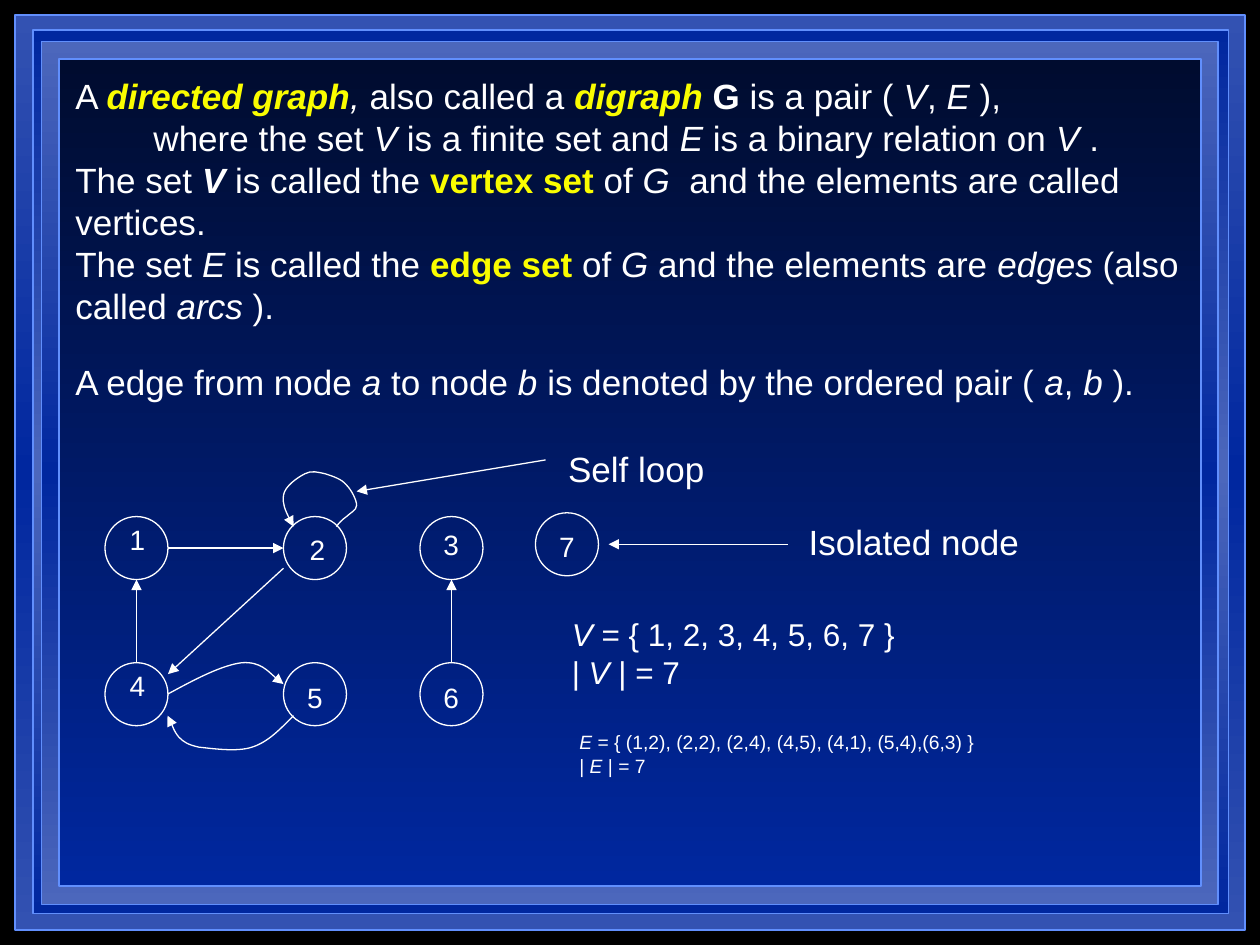
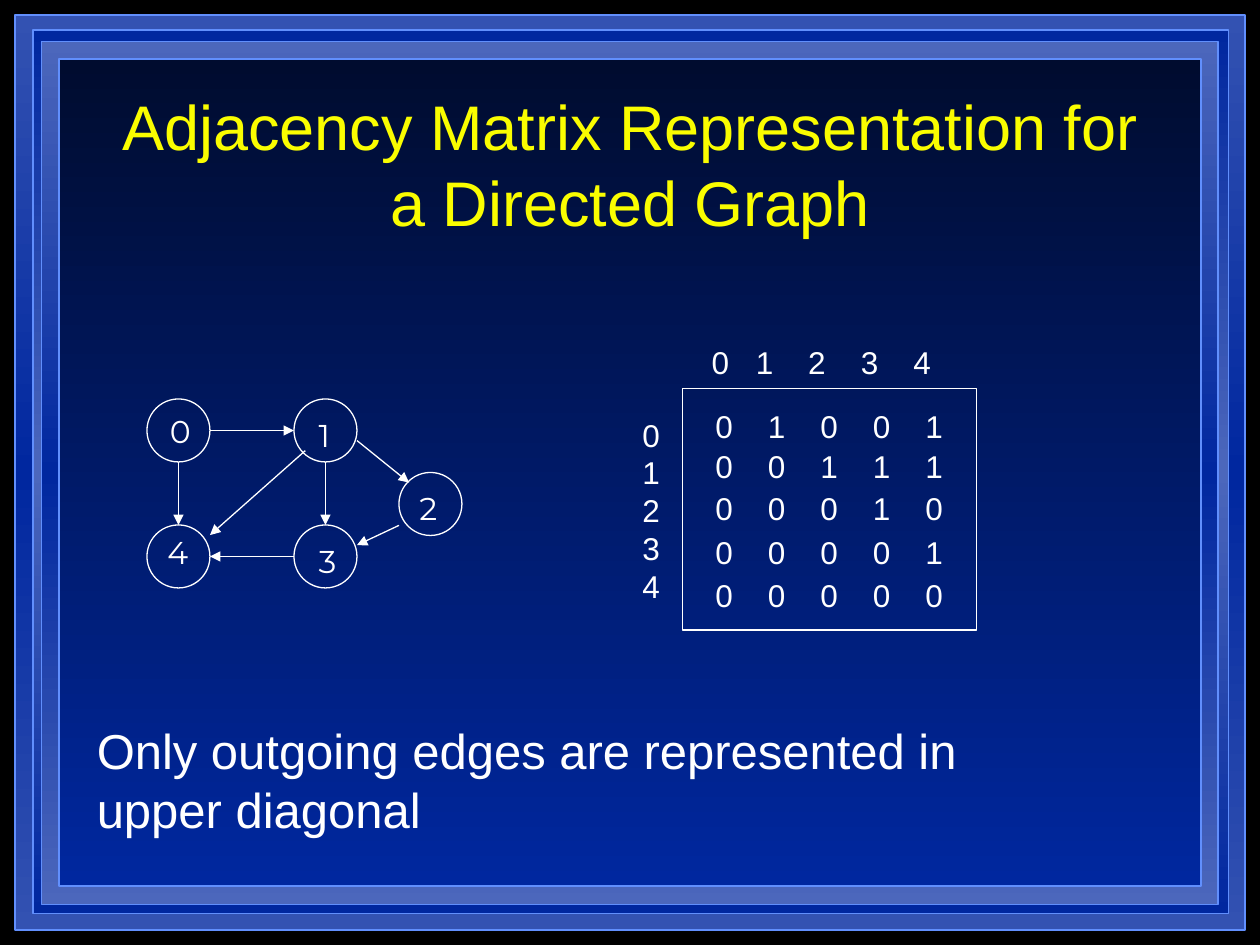
from lxml import etree
from pptx import Presentation
from pptx.dml.color import RGBColor
from pptx.enum import shapes, text
from pptx.oxml.ns import qn
from pptx.util import Inches, Pt

BLACK = RGBColor(0x00, 0x00, 0x00)
WHITE = RGBColor(0xFF, 0xFF, 0xFF)
YELLOW = RGBColor(0xFA, 0xFD, 0x00)
FRAME_LINE = RGBColor(0x61, 0x8F, 0xFD)
NAVY = RGBColor(0x00, 0x0C, 0x2F)
BLUE = RGBColor(0x00, 0x27, 0x9F)
MID_BLUE = RGBColor(0x33, 0x52, 0xB2)
PALE_BLUE = RGBColor(0x4C, 0x67, 0xBC)

FONT, NODE_FONT = "Arial", "Montserrat"
RADIUS = 0.25

# left, top, width, height, gradient colours from top to bottom
FRAMES = [
    (0.12, 0.12, 9.76, 7.26, (MID_BLUE, BLUE, MID_BLUE)),
    (0.26, 0.24, 9.49, 7.01, (BLUE, PALE_BLUE, BLUE)),
    (0.33, 0.33, 9.34, 6.85, (PALE_BLUE, BLUE, PALE_BLUE)),
    (0.47, 0.47, 9.06, 6.56, (NAVY, BLUE)),
]

# A paragraph is a list of (words, style): b bold, i italic, y yellow
DEFINITION = [
    [("A ", ""), ("directed graph", "biy"), (",", "i"), (" also called a ", ""),
     ("digraph ", "biy"), ("G", "b"), (" is a pair ( ", ""), ("V", "i"), (", ", ""),
     ("E ", "i"), ("),", "")],
    [("\twhere the set ", ""), ("V", "i"), (" is a finite set and ", ""), ("E", "i"),
     (" is a binary relation on ", ""), ("V ", "i"), (".", "")],
    [("The set ", ""), ("V", "bi"), (" is called the ", ""), ("vertex set ", "by"),
     ("of ", ""), ("G ", "i"), (" and the elements are called vertices.", "")],
    [("The set ", ""), ("E", "i"), (" is called the ", ""), ("edge set ", "by"),
     ("of ", ""), ("G", "i"), (" and the elements are ", ""), ("edges", "i"),
     (" (also called ", ""), ("arcs ", "i"), (").", "")],
]
EDGE_NOTATION = [
    [("A edge from node ", ""), ("a", "i"), (" to node ", ""), ("b ", "i"),
     ("is denoted by the ordered pair ( ", ""), ("a", "i"), (", ", ""), ("b", "i"),
     (" ).", "")],
]
VERTEX_SET = [
    [("V", "i"), (" = { 1, 2, 3, 4, 5, 6, 7 }", "")],
    [("| ", ""), ("V", "i"), (" | = 7", "")],
]
EDGE_SET = [
    [("E", "i"), (" = { (1,2), (2,2), (2,4), (4,5), (4,1), (5,4),(6,3) }", "")],
    [("| ", ""), ("E", "i"), (" | = 7", "")],
]

# node: centre x, centre y, label left, label top
DIGRAPH_NODES = {
    "1": (13 / 12, 4.35, 0.93, 4.10), "2": (2.50, 4.35, 2.36, 4.18),
    "3": (43 / 12, 4.35, 3.42, 4.14), "4": (13 / 12, 5.51, 0.93, 5.26),
    "5": (2.50, 5.51, 2.34, 5.35), "6": (43 / 12, 5.51, 3.42, 5.35),
    "7": (4.50, 4.32, 4.34, 4.15),
}
MATRIX_NODES = {
    "0": (17 / 12, 41 / 12, 1.25, 3.22), "1": (31 / 12, 41 / 12, 2.43, 3.25),
    "2": (41 / 12, 4.00, 3.23, 3.83), "3": (31 / 12, 53 / 12, 2.43, 4.25),
    "4": (17 / 12, 53 / 12, 1.23, 4.18),
}
# from node, its anchor, to node, its anchor; anchors count in radii from the centre
TOP, BOTTOM, LEFT, RIGHT = (0, -1), (0, 1), (-1, 0), (1, 0)
DIGRAPH_EDGES = [
    ("4", TOP, "1", BOTTOM), ("1", RIGHT, "2", LEFT),
    ("2", (-1, 0.64), "4", (1, -0.64)), ("6", TOP, "3", BOTTOM),
]
MATRIX_EDGES = [
    ("1", (-0.64, 0.64), "4", (1, -0.68)), ("0", BOTTOM, "4", TOP),
    ("0", RIGHT, "1", LEFT), ("3", LEFT, "4", RIGHT), ("1", BOTTOM, "3", TOP),
    ("1", (1, 0.32), "2", (-0.68, -0.68)), ("2", (-1, 0.68), "3", (1, -0.36)),
]
# start point, then two control points and an end point for each piece
CURVED_EDGES = [
    [(2.67, 4.18), (2.68, 4.16), (2.72, 4.12), (2.75, 4.10),
     (2.78, 4.07), (2.83, 4.05), (2.83, 4.01), (2.83, 3.97), (2.79, 3.89), (2.75, 3.85),
     (2.71, 3.80), (2.64, 3.78), (2.58, 3.76), (2.53, 3.75), (2.47, 3.73), (2.42, 3.76),
     (2.36, 3.79), (2.26, 3.86), (2.25, 3.93), (2.24, 4.00), (2.28, 4.09), (2.33, 4.18)],
    [(1.33, 5.51), (1.55, 5.39), (1.76, 5.28), (1.92, 5.26),
     (2.07, 5.25), (2.19, 5.39), (2.25, 5.43)],
    [(2.33, 5.68), (2.23, 5.78), (2.13, 5.89), (2.00, 5.93),
     (1.88, 5.97), (1.68, 5.94), (1.58, 5.93), (1.49, 5.91), (1.46, 5.89), (1.42, 5.85),
     (1.38, 5.80), (1.35, 5.71), (1.33, 5.68)],
]

MATRIX_TITLE = "Adjacency Matrix Representation for a Directed Graph"
MATRIX_NOTE = "Only outgoing edges are represented in upper diagonal"
# top of each row and its values
MATRIX = [(3.18, "01001"), (3.5, "00111"), (3.83, "00010"), (4.18, "00001"),
          (4.52, "00000")]
COLUMN_GAP = 5 / 12


def plain(words):
    return [[(words, "")]]


def add_text(slide, box, paragraphs, size, font=FONT, wrap=True, color=WHITE,
             align=None, anchor=text.MSO_ANCHOR.TOP, tabs=()):
    frame = slide.shapes.add_textbox(*map(Inches, box)).text_frame
    frame.word_wrap = wrap
    if not wrap:
        frame.auto_size = text.MSO_AUTO_SIZE.SHAPE_TO_FIT_TEXT
    frame.vertical_anchor = anchor
    for index, runs in enumerate(paragraphs):
        paragraph = frame.paragraphs[0] if index == 0 else frame.add_paragraph()
        paragraph.alignment = align
        if tabs:
            stops = etree.SubElement(paragraph._p.get_or_add_pPr(), qn("a:tabLst"))
            for stop in tabs:
                etree.SubElement(stops, qn("a:tab"), pos=str(Inches(stop)), algn="l")
        for words, style in runs:
            run = paragraph.add_run()
            run.text = words
            run.font.name = font
            run.font.size = Pt(size)
            run.font.bold = "b" in style
            run.font.italic = "i" in style
            run.font.color.rgb = YELLOW if "y" in style else color


def set_outline(shape, color=WHITE, width=0.75):
    shape.line.color.rgb = color
    shape.line.width = Pt(width)


def add_outlined(slide, kind, box):
    shape = slide.shapes.add_shape(kind, *map(Inches, box))
    shape.shadow.inherit = False
    shape.fill.background()
    set_outline(shape)
    return shape


def add_arrowhead(shape):
    etree.SubElement(shape.line._get_or_add_ln(), qn("a:tailEnd"), type="triangle")


def add_arrow(slide, start, end):
    arrow = slide.shapes.add_connector(
        shapes.MSO_CONNECTOR.STRAIGHT, *map(Inches, (*start, *end)))
    set_outline(arrow)
    add_arrowhead(arrow)
    etree.SubElement(arrow._element.spPr, qn("a:effectLst"))


def add_curved_arrow(slide, knots):
    """Draw chained cubic Bezier pieces: every three line ends become one curve."""
    start, *rest = [tuple(map(Inches, knot)) for knot in knots]
    builder = slide.shapes.build_freeform(*start)
    builder.add_line_segments(rest, close=False)
    curve = builder.convert_to_shape()
    outline = next(curve._element.iter(qn("a:path")))
    segments = outline.findall(qn("a:lnTo"))
    for first in range(0, len(segments), 3):
        piece = etree.SubElement(outline, qn("a:cubicBezTo"))
        for segment in segments[first:first + 3]:
            piece.append(segment[0])
            outline.remove(segment)
    curve.shadow.inherit = False
    curve.fill.background()
    set_outline(curve)
    add_arrowhead(curve)


def add_graph(slide, nodes, edges, size, font):
    def anchor_point(node, anchor):
        return [nodes[node][axis] + RADIUS * anchor[axis] for axis in (0, 1)]

    for label, (x, y, label_left, label_top) in nodes.items():
        add_outlined(slide, shapes.MSO_SHAPE.OVAL,
                     (x - RADIUS, y - RADIUS, 2 * RADIUS, 2 * RADIUS))
        add_text(slide, (label_left, label_top, 0.33, 0.38), plain(label), size,
                 font, wrap=False)
    for source, source_anchor, target, target_anchor in edges:
        add_arrow(slide, anchor_point(source, source_anchor),
                  anchor_point(target, target_anchor))


def fill_gradient(shape, colors):
    shape.fill.gradient()
    gradient = shape._element.spPr.find(qn("a:gradFill"))
    stops = gradient.find(qn("a:gsLst"))
    for stop in list(stops):
        stops.remove(stop)
    for index, color in enumerate(colors):
        position = 100000 * index // (len(colors) - 1)
        stop = etree.SubElement(stops, qn("a:gs"), pos=str(position))
        etree.SubElement(stop, qn("a:srgbClr"), val=str(color))
    gradient.find(qn("a:lin")).set("ang", "5400000")


def add_framed_slide(deck):
    slide = deck.slides.add_slide(deck.slide_layouts[6])
    slide.background.fill.solid()
    slide.background.fill.fore_color.rgb = BLACK
    for *box, colors in FRAMES:
        frame = add_outlined(slide, shapes.MSO_SHAPE.RECTANGLE, box)
        fill_gradient(frame, colors)
        set_outline(frame, FRAME_LINE, 1)
    return slide


def build_definition(deck):
    slide = add_framed_slide(deck)
    add_text(slide, (0.5, 0.54, 9, 2.1), DEFINITION, 20, tabs=[0.62])
    add_text(slide, (0.5, 2.81, 9, 0.44), EDGE_NOTATION, 20)
    add_graph(slide, DIGRAPH_NODES, DIGRAPH_EDGES, 16, FONT)
    for knots in CURVED_EDGES:
        add_curved_arrow(slide, knots)
    add_text(slide, (4.44, 4.83, 2.8, 0.7), VERTEX_SET, 18, wrap=False)
    add_text(slide, (4.5, 5.75, 3.34, 0.47), EDGE_SET, 11, wrap=False)
    add_arrow(slide, (4.33, 3.65), (2.83, 3.9))
    add_text(slide, (4.41, 3.5, 1.28, 0.44), plain("Self loop"), 20, wrap=False)
    add_arrow(slide, (6.25, 4.32), (4.83, 4.32))
    add_text(slide, (6.32, 4.08, 1.87, 0.44), plain("Isolated node"), 20, wrap=False)


def build_matrix(deck):
    slide = add_framed_slide(deck)
    add_text(slide, (0.75, 0.67, 8.5, 1.25), plain(MATRIX_TITLE), 36, color=YELLOW,
             align=text.PP_ALIGN.CENTER, anchor=text.MSO_ANCHOR.MIDDLE)
    add_outlined(slide, shapes.MSO_SHAPE.RECTANGLE, (65 / 12, 37 / 12, 28 / 12, 23 / 12))
    row_tabs = [COLUMN_GAP * column for column in range(1, 5)]
    for top, values in MATRIX:
        add_text(slide, (5.58, top, 2.1, 0.4), plain("\t".join(values)), 18,
                 tabs=row_tabs)
    heading_tabs = [0.35 + COLUMN_GAP * column for column in range(4)]
    add_text(slide, (5.55, 2.67, 2.1, 0.4), plain("\t".join("01234")), 18,
             tabs=heading_tabs)
    add_text(slide, (5, 3.25, 0.34, 1.6), [[(label, "")] for label in "01234"], 18,
             wrap=False)
    add_graph(slide, MATRIX_NODES, MATRIX_EDGES, 18, NODE_FONT)
    add_text(slide, (0.67, 5.67, 7.67, 1.04), plain(MATRIX_NOTE), 28)


def main():
    deck = Presentation()
    deck.slide_width, deck.slide_height = Inches(10), Inches(7.5)
    build_definition(deck)
    build_matrix(deck)
    deck.save("out.pptx")


if __name__ == "__main__":
    main()
